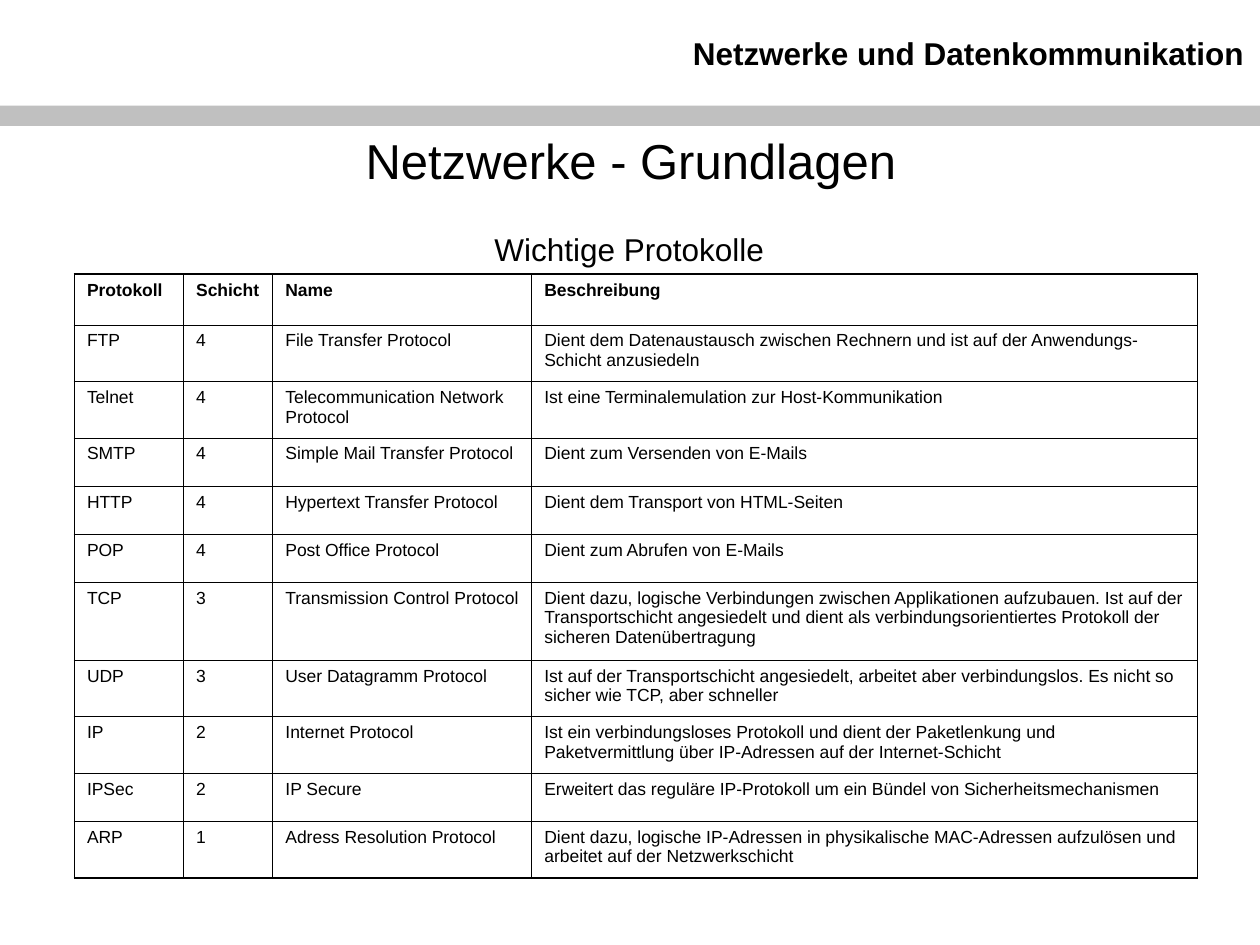
from pptx import Presentation, util as u
from pptx.dml.color import RGBColor
from pptx.enum import shapes, text
from pptx.oxml.ns import qn
from lxml import etree

BLACK = RGBColor(0x00, 0x00, 0x00)
GREY = RGBColor(0xC0, 0xC0, 0xC0)
FONT = "Arial"
THIN, THICK = 0.45, 1.08

COLUMNS = (2.2, 1.8, 5.22, 13.42)
HEADINGS = ("Protokoll", "Schicht", "Name", "Beschreibung")
LINE_HEIGHTS = {1: 0.97, 2: 1.14, 3: 1.57}
HEADING_HEIGHT = 1.02

# Lines of text in the row, then the cells
PROTOCOLS = (
    (2, "FTP", "4", "File Transfer Protocol",
     "Dient dem Datenaustausch zwischen Rechnern und ist auf der Anwendungs-Schicht anzusiedeln"),
    (2, "Telnet", "4", "Telecommunication Network Protocol",
     "Ist eine Terminalemulation zur Host-Kommunikation"),
    (1, "SMTP", "4", "Simple Mail Transfer Protocol", "Dient zum Versenden von E-Mails"),
    (1, "HTTP", "4", "Hypertext Transfer Protocol", "Dient dem Transport von HTML-Seiten"),
    (1, "POP", "4", "Post Office Protocol", "Dient zum Abrufen von E-Mails"),
    (3, "TCP", "3", "Transmission Control Protocol",
     "Dient dazu, logische Verbindungen zwischen Applikationen aufzubauen. Ist auf der "
     "Transportschicht angesiedelt und dient als verbindungsorientiertes Protokoll der "
     "sicheren Datenübertragung"),
    (2, "UDP", "3", "User Datagramm Protocol",
     "Ist auf der Transportschicht angesiedelt, arbeitet aber verbindungslos. "
     "Es nicht so sicher wie TCP, aber schneller"),
    (2, "IP", "2", "Internet Protocol",
     "Ist ein verbindungsloses Protokoll und dient der Paketlenkung und "
     "Paketvermittlung über IP-Adressen auf der Internet-Schicht"),
    (1, "IPSec", "2", "IP Secure",
     "Erweitert das reguläre IP-Protokoll um ein Bündel von Sicherheitsmechanismen"),
    (2, "ARP", "1", "Adress Resolution Protocol",
     "Dient dazu, logische IP-Adressen in physikalische MAC-Adressen aufzulösen und "
     "arbeitet auf der Netzwerkschicht"),
)


def write(tf, content, size, bold=False, align=text.PP_ALIGN.LEFT):
    p = tf.paragraphs[0]
    p.alignment = align
    r = p.add_run()
    r.text = content
    for name, value in {"name": FONT, "size": u.Pt(size), "bold": bold}.items():
        setattr(r.font, name, value)
    r.font.color.rgb = BLACK


def add_text(s, box, content, size, align, bold=False,
             anchor=text.MSO_ANCHOR.TOP, margin_top=0.13):
    tf = s.shapes.add_textbox(*map(u.Cm, box)).text_frame
    tf.word_wrap = True
    tf.vertical_anchor = anchor
    tf.margin_top = u.Cm(margin_top)
    write(tf, content, size, bold, align)


def add_header(s, left, top, width, height):
    bar_height = 0.41
    bar_top = top + height - bar_height
    bar = s.shapes.add_shape(shapes.MSO_SHAPE.RECTANGLE,
                             *map(u.Cm, (left, bar_top, width, bar_height)))
    bar.shadow.inherit = False
    bar.fill.solid()
    bar.fill.fore_color.rgb = GREY
    bar.line.fill.background()
    add_text(s, (left + 10.52, top + 0.53, width - 10.59, 1.02),
             "Netzwerke und Datenkommunikation", 18, text.PP_ALIGN.RIGHT,
             bold=True, margin_top=0.16)


def set_borders(cell, widths):
    """Draw the left, right, top and bottom borders, in that order."""
    tc_pr = cell._tc.get_or_add_tcPr()
    for position, (side, width) in enumerate(zip("LRTB", widths)):
        ln = etree.Element(qn(f"a:ln{side}"), w=str(u.Pt(width)))
        fill = etree.SubElement(ln, qn("a:solidFill"))
        etree.SubElement(fill, qn("a:srgbClr"), val=str(BLACK))
        tc_pr.insert(position, ln)


def add_protocol_table(s, left, top):
    rows = [HEADINGS] + [cells for _, *cells in PROTOCOLS]
    heights = [HEADING_HEIGHT] + [LINE_HEIGHTS[n] for n, *_ in PROTOCOLS]
    box = (left, top, sum(COLUMNS), sum(heights))
    table = s.shapes.add_table(len(rows), len(COLUMNS), *map(u.Cm, box)).table
    table.first_row = table.horz_banding = False
    for column, width in zip(table.columns, COLUMNS):
        column.width = u.Cm(width)
    last_row, last_col = len(rows) - 1, len(COLUMNS) - 1
    for i, (cells, height) in enumerate(zip(rows, heights)):
        table.rows[i].height = u.Cm(height)
        for j, content in enumerate(cells):
            cell = table.cell(i, j)
            cell.fill.background()
            write(cell.text_frame, content, 10, bold=i == 0)
            outer = (j == 0, j == last_col, i == 0, i == last_row)
            set_borders(cell, [THICK if edge else THIN for edge in outer])


def main():
    prs = Presentation()
    prs.slide_width, prs.slide_height = u.Cm(25.4), u.Cm(19.05)
    s = prs.slides.add_slide(prs.slide_layouts[6])
    add_header(s, 0, 0, 25.4, 2.54)
    add_text(s, (1.3, 2.51, 22.83, 1.42), "Netzwerke - Grundlagen", 28,
             text.PP_ALIGN.CENTER, anchor=text.MSO_ANCHOR.MIDDLE)
    add_text(s, (1.27, 4.45, 22.83, 12.57), "Wichtige Protokolle", 18,
             text.PP_ALIGN.CENTER, margin_top=0.18)
    add_protocol_table(s, 1.5, 5.53)
    prs.save("out.pptx")


if __name__ == "__main__":
    main()
